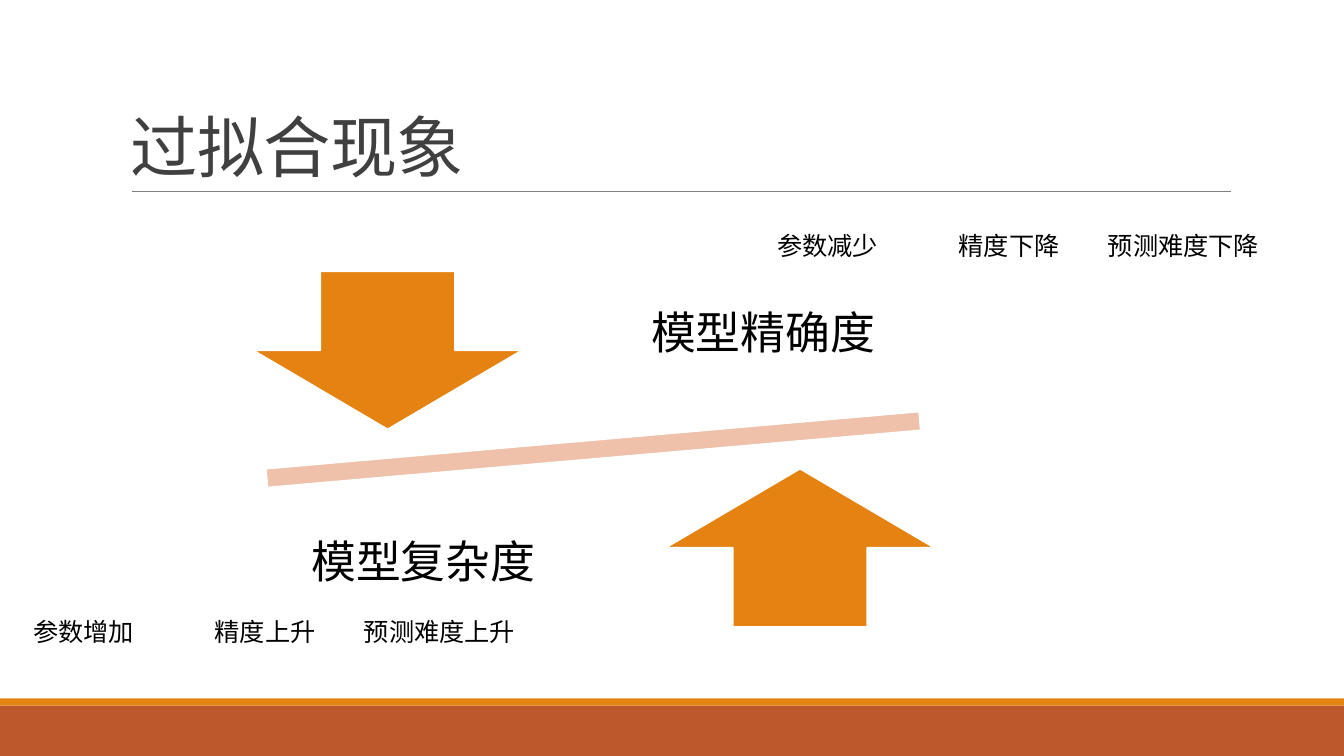
import pptx
import pptx.dml.color
import pptx.enum.shapes
import pptx.enum.text
import pptx.oxml.xmlchemy
import pptx.util
import lxml.etree
from pptx.oxml.ns import qn

Inches = pptx.util.Inches
Pt = pptx.util.Pt
KIND = pptx.enum.shapes.MSO_SHAPE
ALIGN = pptx.enum.text.PP_ALIGN
ANCHOR = pptx.enum.text.MSO_ANCHOR
HUES = {"rust": "BD582C", "gold": "E48312", "gray": "808080", "ink": "404040",
        "beam": "EFC1AB", "white": "FFFFFF", "black": "000000"}


def tint(name):
    """Return the named colour."""
    return pptx.dml.color.RGBColor.from_string(HUES[name])


def shape(slide, kind, box, fill, edge=None):
    """Draw a filled preset shape with an optional outline."""
    item = slide.shapes.add_shape(kind, *map(Inches, box))
    item.shadow.inherit = False
    item.fill.solid()
    item.fill.fore_color.rgb = tint(fill)
    if edge:
        item.line.color.rgb = tint(edge)
        item.line.width = Pt(1.25)
    else:
        item.line.fill.background()
    return item


def label(slide, box, text, size, hue="black", wrap=True):
    """Write one line of text and return its frame and paragraph."""
    frame = slide.shapes.add_textbox(*map(Inches, box)).text_frame
    frame.word_wrap = wrap
    para = frame.paragraphs[0]
    para.text = text
    para.font.size = Pt(size)
    para.font.name = "Calibri"
    para.font.color.rgb = tint(hue)
    return frame, para


def footer(slide, box):
    """Draw the two bands at the foot of the slide."""
    left, top, width, height = box
    shape(slide, KIND.RECTANGLE, (left, top + 0.07, width, height - 0.07), "rust")
    shape(slide, KIND.RECTANGLE, (left, top, width, 0.07), "gold")


def header(slide, box, text):
    """Write the title and rule a line beneath it."""
    left, top, width, height = box
    base = top + height
    rule = slide.shapes.add_connector(
        pptx.enum.shapes.MSO_CONNECTOR.STRAIGHT,
        *map(Inches, (left + 0.11, base, left + width + 0.01, base)))
    rule.line.color.rgb = tint("gray")
    rule.line.width = Pt(0.5)
    lxml.etree.SubElement(rule._element.spPr, qn("a:effectLst"))
    frame, para = label(slide, box, text, 48, "ink")
    frame.vertical_anchor = ANCHOR.BOTTOM
    para.line_spacing = 0.85
    para.runs[0].font._element.set("spc", "-50")


def scale(slide, box):
    """Draw the tilted beam with its two arrows and labels."""
    left, top, width, height = box
    beam = shape(slide, KIND.MATH_MINUS, (left, top + 1.37, width, 0.8), "beam", "white")
    beam.rotation = 355
    sides = [(KIND.DOWN_ARROW, 1.05, 0, "模型精确度", 4.69, -0.19),
             (KIND.UP_ARROW, 5.14, height - 1.57, "模型复杂度", 1.32, 2.08)]
    for kind, x, y, text, across, down in sides:
        shape(slide, kind, (left + x, top + y, 2.67, 1.57), "gold", "white")
        frame, para = label(slide, (left + across, top + down, 2.84, 1.65), text, 32)
        frame.vertical_anchor = ANCHOR.MIDDLE
        frame.margin_left = frame.margin_right = Inches(0.25)
        frame.margin_top = frame.margin_bottom = Inches(0.25)
        para.alignment = ALIGN.CENTER
        para.line_spacing = 0.9


def notes(slide, box, texts):
    """Write a row of three short effects."""
    left, top, width, height = box
    for text, step, wide in zip(texts, (0, 1.8, 3.28), (1.21, 1.21, 1.72)):
        label(slide, (left + step, top, wide, height), text, 18, wrap=False)


def main():
    """Build the slide and save it."""
    deck = pptx.Presentation()
    deck.slide_width, deck.slide_height = Inches(13.33), Inches(7.5)
    slide = deck.slides.add_slide(deck.slide_layouts[6])
    footer(slide, (0, 6.93, 13.33, 0.57))
    header(slide, (1.2, 0.31, 11, 1.59), "过拟合现象")
    scale(slide, (1.46, 2.69, 8.85, 3.53))
    notes(slide, (0.23, 6.07, 5, 0.4), ("参数增加", "精度上升", "预测难度上升"))
    notes(slide, (7.61, 2.24, 5, 0.4), ("参数减少", "精度下降", "预测难度下降"))
    deck.save("out.pptx")


if __name__ == "__main__":
    main()
